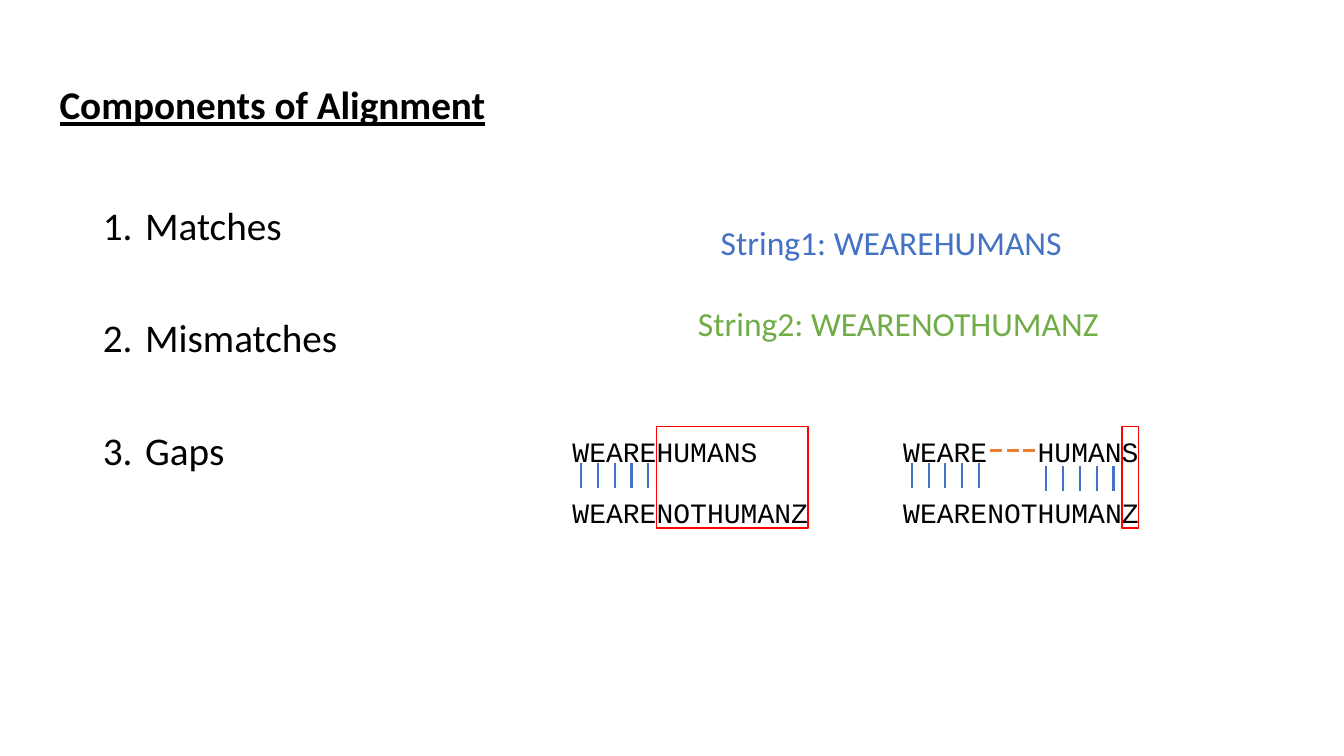
"""Build the slide on the components of a string alignment."""
from dataclasses import dataclass

from lxml.etree import SubElement
from pptx import Presentation
from pptx.dml.color import RGBColor
from pptx.enum.shapes import MSO_CONNECTOR, MSO_SHAPE
from pptx.enum.text import MSO_ANCHOR, MSO_AUTO_SIZE, PP_ALIGN
from pptx.oxml.ns import qn
from pptx.util import Inches, Pt


@dataclass(frozen=True)
class Theme:
    """Fonts, type sizes and colours of the slide."""
    sans: str = "Calibri"
    mono: str = "Courier New"
    heading: int = 28
    label: int = 24
    letters: int = 20
    ink: RGBColor = RGBColor(0, 0, 0)
    blue: RGBColor = RGBColor(0x44, 0x72, 0xC4)
    green: RGBColor = RGBColor(0x70, 0xAD, 0x47)
    orange: RGBColor = RGBColor(0xED, 0x7D, 0x31)
    red: RGBColor = RGBColor(0xFF, 0, 0)


THEME = Theme()
LETTER_WIDTH = 1 / 6
TEXT_INSET = 0.1
ALIGNMENT_TOP = 4.23


def place(shape, left, top, width, height):
    """Move and size a shape in inches."""
    shape.left, shape.top = Inches(left), Inches(top)
    shape.width, shape.height = Inches(width), Inches(height)


def style(paragraph, face, size, color):
    """Set the font of a whole paragraph."""
    font = paragraph.font
    font.name, font.size = face, Pt(size)
    font.color.rgb = color


def fill_title(title, wording):
    """Write the underlined heading in the title placeholder."""
    place(title, 0.49, 0.75, 4.47, 0.57)
    frame = title.text_frame
    frame.text = wording
    frame.word_wrap = False
    frame.auto_size = MSO_AUTO_SIZE.NONE
    frame.vertical_anchor = MSO_ANCHOR.TOP
    heading = frame.paragraphs[0]
    heading.alignment = PP_ALIGN.LEFT
    style(heading, THEME.sans, THEME.heading, THEME.ink)
    heading.font.bold = heading.font.underline = True


def fill_numbered_list(body, components):
    """Write the numbered components in the body placeholder."""
    place(body, 0.92, 2, 3.34, 3.37)
    frame = body.text_frame
    frame.text = "\n".join(components)
    frame.auto_size = MSO_AUTO_SIZE.NONE
    for index, component in enumerate(frame.paragraphs):
        component.line_spacing = 0.9
        component.space_before = Pt(50 if index else 0)
        properties = component._p.get_or_add_pPr()
        properties.set("marL", str(Inches(0.42)))
        properties.set("indent", str(Inches(-0.42)))
        SubElement(properties, qn("a:buFont"), typeface="+mj-lt")
        SubElement(properties, qn("a:buAutoNum"), type="arabicPeriod")
        style(component, THEME.sans, THEME.heading, THEME.ink)


def add_string_label(shapes, wording, center, top, color):
    """Add one coloured, centred input string."""
    width = 4.21
    box = shapes.add_textbox(Inches(center - width / 2), Inches(top),
                             Inches(width), Inches(0.5))
    box.text_frame.word_wrap = True
    label = box.text_frame.paragraphs[0]
    label.text = wording
    label.alignment = PP_ALIGN.CENTER
    style(label, THEME.sans, THEME.label, color)


def add_letter_rows(shapes, left, rows, tab_column):
    """Add two monospaced rows, with a tab stop at the given letter column."""
    box = shapes.add_textbox(Inches(left), Inches(ALIGNMENT_TOP + 0.03),
                             Inches(2.56), Inches(1))
    frame = box.text_frame
    frame.word_wrap = False
    frame.text = "\n".join(rows)
    for index, row in enumerate(frame.paragraphs):
        row.space_before = Pt(20 if index else 0)
        stops = SubElement(row._p.get_or_add_pPr(), qn("a:tabLst"))
        SubElement(stops, qn("a:tab"), algn="l",
                   pos=str(Inches(tab_column * LETTER_WIDTH)))
        style(row, THEME.mono, THEME.letters, THEME.ink)


def add_line(shapes, start, end, color):
    """Add a plain straight line between two points."""
    line = shapes.add_connector(MSO_CONNECTOR.STRAIGHT,
                                *map(Inches, (*start, *end)))
    line.line.color.rgb = color
    line.line.width = Pt(1.5)
    SubElement(line._element.spPr, qn("a:effectLst"))


def add_mismatch_box(shapes, left, width):
    """Frame the columns that differ in red."""
    frame = shapes.add_shape(MSO_SHAPE.RECTANGLE, Inches(left),
                             Inches(ALIGNMENT_TOP), Inches(width), Inches(1.01))
    frame.shadow.inherit = False
    frame.fill.background()
    frame.line.color.rgb = THEME.red
    frame.line.width = Pt(1)


def add_alignment(shapes, left, rows, match_runs, gaps, mismatches):
    """Add two aligned rows with their match ticks, gap dashes and mismatch box."""
    parts = shapes.add_group_shape().shapes
    first_letter = left + TEXT_INSET
    add_letter_rows(parts, left, rows, gaps.stop)
    for columns, top in match_runs:
        for column in columns:
            x = first_letter + (column + 0.5) * LETTER_WIDTH
            add_line(parts, (x, top), (x, top + 0.25), THEME.blue)
    for column in gaps:
        x = first_letter + (column + 0.5) * LETTER_WIDTH
        add_line(parts, (x - 0.06, 4.47), (x + 0.06, 4.47), THEME.orange)
    add_mismatch_box(shapes, first_letter + mismatches.start * LETTER_WIDTH,
                     len(mismatches) * LETTER_WIDTH)


def main():
    """Build and save the slide."""
    deck = Presentation()
    deck.slide_width, deck.slide_height = Inches(13.33), Inches(7.5)
    slide = deck.slides.add_slide(deck.slide_layouts[1])
    shapes = slide.shapes
    fill_title(shapes.title, "Components of Alignment")
    fill_numbered_list(slide.placeholders[1], ("Matches", "Mismatches", "Gaps"))
    add_string_label(shapes, "String1: WEAREHUMANS", 8.84, 2.15, THEME.blue)
    add_string_label(shapes, "String2: WEARENOTHUMANZ", 8.91, 2.96, THEME.green)
    add_alignment(shapes, 5.58, ("WEAREHUMANS", "WEARENOTHUMANZ"),
                  [(range(5), 4.59)], range(0), range(5, 14))
    add_alignment(shapes, 8.86, ("WEARE\tHUMANS", "WEARENOTHUMANZ"),
                  [(range(5), 4.59), (range(8, 13), 4.62)],
                  range(5, 8), range(13, 14))
    deck.save("out.pptx")


if __name__ == "__main__":
    main()
